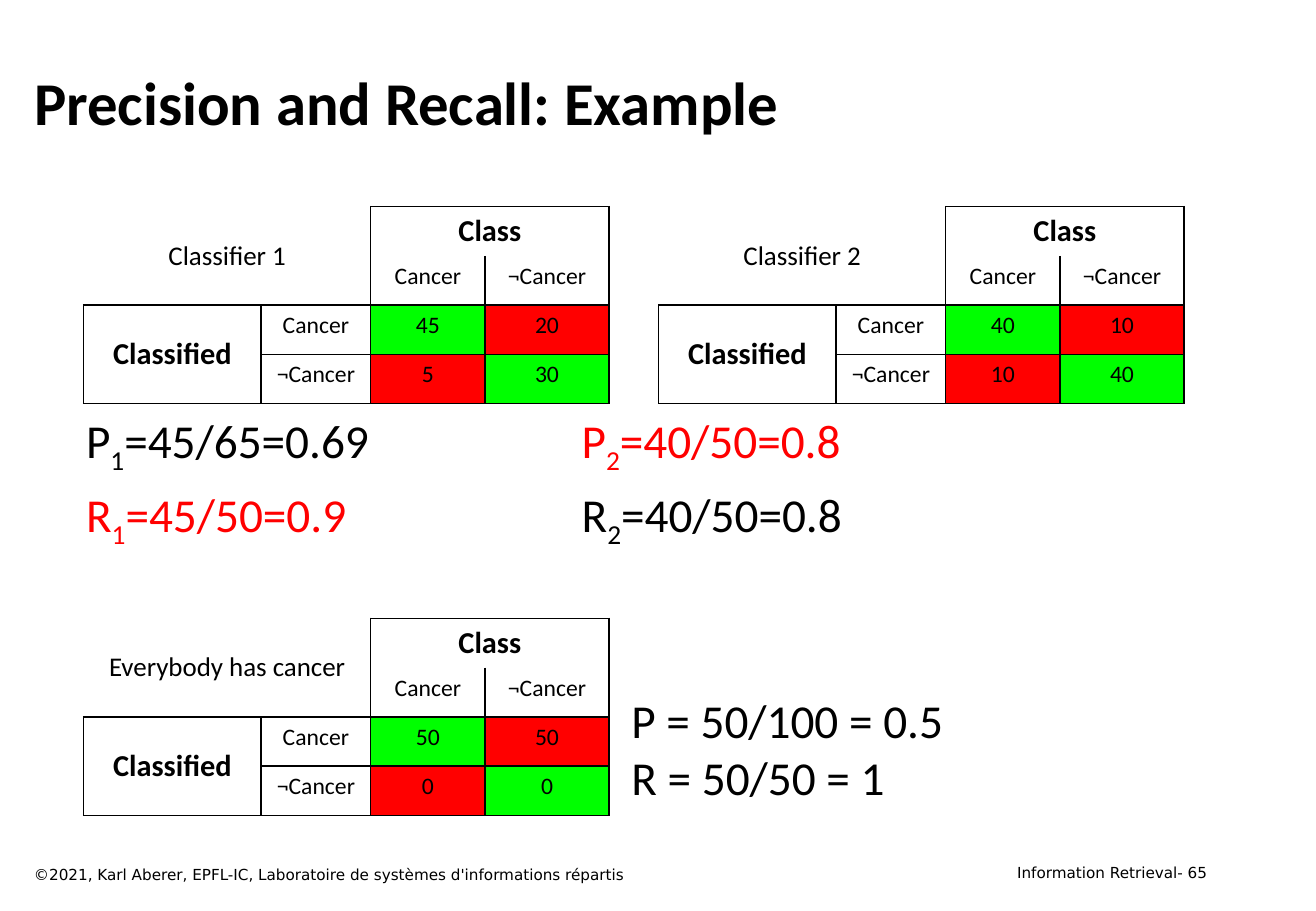
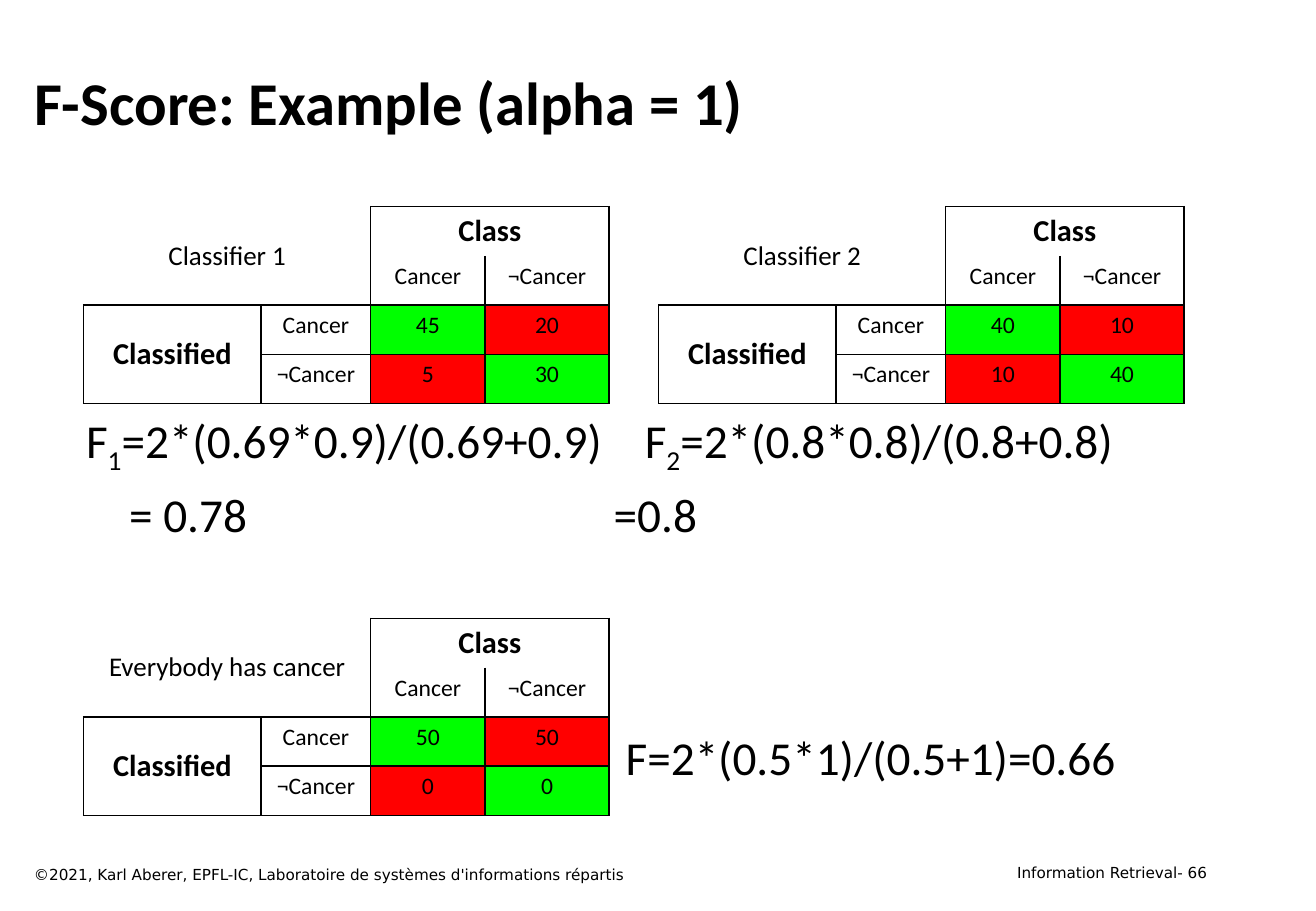
from dataclasses import dataclass

from lxml import etree
from pptx import Presentation
from pptx.dml.color import RGBColor
from pptx.enum.text import MSO_ANCHOR, PP_ALIGN
from pptx.oxml.ns import qn
from pptx.util import Cm, Pt

LEFT, CENTER, RIGHT = PP_ALIGN.LEFT, PP_ALIGN.CENTER, PP_ALIGN.RIGHT
TOP, MIDDLE = MSO_ANCHOR.TOP, MSO_ANCHOR.MIDDLE


@dataclass(frozen=True)
class Theme:
    black: str = "000000"
    red: str = "FF0000"
    green: str = "00FF00"
    body_font: str = "Calibri"
    footer_font: str = "DejaVu Sans"
    title_size: int = 36
    formula_size: int = 28
    heading_size: int = 18
    caption_size: int = 16
    cell_size: int = 14
    footer_size: int = 9
    border_width: int = 1


THEME = Theme()
NO_STYLE_NO_GRID = "{2D5ABB26-0587-4C30-8999-92F81FD0307C}"
FIRST_PAGE = 65
COPYRIGHT = "©2021, Karl Aberer, EPFL-IC, Laboratoire de systèmes d'informations répartis"
TITLE_BOX = (0.46, 0.84, 24.99, 2.54)
COPYRIGHT_BOX = (0.46, 17.98, 17.65, 0.64)
PAGE_BOX = (19.74, 17.93, 5.74, 0.64)
FORMULA_BOX = (1.55, 8.48, 23.06, 3.2)
COLUMN_WIDTHS = (3.71, 2.29, 2.39, 2.59)
ROW_HEIGHT = 1.03
MATRICES = (
    ("Classifier 1", (1.75, 4.32), ((45, 20), (5, 30))),
    ("Classifier 2", (13.77, 4.32), ((40, 10), (10, 40))),
    ("Everybody has cancer", (1.75, 12.93), ((50, 50), (0, 0))),
)
BORDERS = (
    ("RB", "R", "LTR", "TR"),
    ("B", "RB", "LRB", "LRB"),
    ("LTB", "LTRB", "LRTB", "LRTB"),
    ("LB", "LTRB", "LRTB", "LRTB"),
)
MERGES = (((0, 0), (1, 1)), ((0, 2), (0, 3)), ((2, 0), (3, 0)))


def set_attributes(target, values):
    for name, value in values.items():
        setattr(target, name, value)


def style_font(font, size, color=THEME.black, name=THEME.body_font, bold=False):
    set_attributes(font, {"size": Pt(size), "name": name, "bold": bold})
    font.color.rgb = RGBColor.from_string(color)


def add_run(paragraph, text, size, **style):
    run = paragraph.add_run()
    run.text = text
    style_font(run.font, size, **style)
    return run


def add_text_box(slide, box, wrap=True):
    shape = slide.shapes.add_textbox(*map(Cm, box))
    shape.text_frame.word_wrap = wrap
    return shape.text_frame


def add_title(slide, box, text):
    title = slide.shapes.title
    left, top, width, height = map(Cm, box)
    set_attributes(title, {"left": left, "top": top, "width": width, "height": height})
    title.text_frame.vertical_anchor = MIDDLE
    paragraph = title.text_frame.paragraphs[0]
    paragraph.alignment = LEFT
    add_run(paragraph, text, THEME.title_size, bold=True)


def add_footers(slide, copyright_box, page_box, page):
    style = {"size": THEME.footer_size, "name": THEME.footer_font}
    add_run(add_text_box(slide, copyright_box).paragraphs[0], COPYRIGHT, **style)
    paragraph = add_text_box(slide, page_box).paragraphs[0]
    paragraph.alignment = RIGHT
    add_run(paragraph, "Information Retrieval- ", **style)
    number = add_run(paragraph, str(page), **style)._r
    number.tag = qn("a:fld")
    number.set("id", "{B6F15528-21DE-4FAA-801E-634DDDAF4B2B}")
    number.set("type", "slidenum")


def set_borders(cell, sides):
    properties = cell._tc.get_or_add_tcPr()
    for side in "LRTB":
        if side in sides:
            line = etree.SubElement(properties, qn(f"a:ln{side}"), w=str(Pt(THEME.border_width)))
            fill = etree.SubElement(line, qn("a:solidFill"))
            etree.SubElement(fill, qn("a:srgbClr"), val=THEME.black)


def write_cell(cell, text, size=THEME.cell_size, anchor=TOP, bold=False):
    cell.vertical_anchor = anchor
    paragraph = cell.text_frame.paragraphs[0]
    paragraph.alignment = CENTER
    add_run(paragraph, str(text), size, bold=bold)


def add_confusion_matrix(slide, caption, position, counts):
    left, top = position
    box = (left, top, sum(COLUMN_WIDTHS), 4 * ROW_HEIGHT)
    frame = slide.shapes.add_table(4, 4, *map(Cm, box))
    next(frame.element.iter(qn("a:tableStyleId"))).text = NO_STYLE_NO_GRID
    table = frame.table
    set_attributes(table, {"first_row": False, "horz_banding": False})
    for column, width in zip(table.columns, COLUMN_WIDTHS):
        column.width = Cm(width)
    for row, borders in zip(table.rows, BORDERS):
        row.height = Cm(ROW_HEIGHT)
        for cell, sides in zip(row.cells, borders):
            set_borders(cell, sides)
            cell.fill.background()
    for first, last in MERGES:
        table.cell(*first).merge(table.cell(*last))
    write_cell(table.cell(0, 0), caption, THEME.caption_size, MIDDLE)
    write_cell(table.cell(0, 2), "Class", THEME.heading_size, MIDDLE, True)
    write_cell(table.cell(2, 0), "Classified", THEME.heading_size, MIDDLE, True)
    for i, label in enumerate(("Cancer", "¬Cancer")):
        write_cell(table.cell(1, 2 + i), label)
        write_cell(table.cell(2 + i, 1), label)
        for j, count in enumerate(counts[i]):
            cell = table.cell(2 + i, 2 + j)
            write_cell(cell, count)
            cell.fill.solid()
            cell.fill.fore_color.rgb = RGBColor.from_string(THEME.green if i == j else THEME.red)


def add_formulas(slide, box, lines):
    text_frame = add_text_box(slide, box)
    for index, (tab_stops, terms) in enumerate(lines):
        paragraph = text_frame.add_paragraph() if index else text_frame.paragraphs[0]
        tab_list = etree.SubElement(paragraph._p.get_or_add_pPr(), qn("a:tabLst"))
        for stop in tab_stops:
            etree.SubElement(tab_list, qn("a:tab"), pos=str(Cm(stop)), algn="l")
        if index:
            paragraph.space_before = Pt(5.6)
        for symbol, subscript, rest, color in terms:
            for text in filter(None, (symbol, subscript, rest)):
                run = add_run(paragraph, text, THEME.formula_size, color=color)
                if text == subscript:
                    run._r.get_or_add_rPr().set("baseline", "-25000")


def add_result(slide, box, lines):
    text_frame = add_text_box(slide, box, wrap=False)
    for index, line in enumerate(lines):
        paragraph = text_frame.add_paragraph() if index else text_frame.paragraphs[0]
        add_run(paragraph, line, THEME.formula_size)


def add_example_slide(presentation, page, title, formulas, result_box, result):
    slide = presentation.slides.add_slide(presentation.slide_layouts[5])
    add_title(slide, TITLE_BOX, title)
    add_formulas(slide, FORMULA_BOX, formulas)
    add_footers(slide, COPYRIGHT_BOX, PAGE_BOX, page)
    for matrix in MATRICES:
        add_confusion_matrix(slide, *matrix)
    add_result(slide, result_box, result)


EXAMPLES = (
    (
        "Precision and Recall: Example",
        (
            ((10.36,), (("P", "1", "=45/65=0.69\t", THEME.black), ("P", "2", "=40/50=0.8", THEME.red))),
            ((10.36,), (("R", "1", "=45/50=0.9\t", THEME.red), ("R", "2", "=40/50=0.8", THEME.black))),
        ),
        (12.95, 14.33, 7.14, 2.64),
        ("P = 50/100 = 0.5", "R = 50/50 = 1"),
    ),
    (
        "F-Score: Example (alpha = 1)",
        (
            (
                (11.68,),
                (
                    ("F", "1", "=2*(0.69*0.9)/(0.69+0.9)\t", THEME.black),
                    ("F", "2", "=2*(0.8*0.8)/(0.8+0.8)", THEME.black),
                ),
            ),
            ((0.9, 11.03), (("", "", "\t= 0.78\t=0.8", THEME.black),)),
        ),
        (12.83, 15.11, 11.13, 1.45),
        ("F=2*(0.5*1)/(0.5+1)=0.66",),
    ),
)


def main():
    presentation = Presentation()
    presentation.slide_width, presentation.slide_height = Cm(27.51), Cm(19.05)
    presentation.element.set("firstSlideNum", str(FIRST_PAGE))
    for page, example in enumerate(EXAMPLES, FIRST_PAGE):
        add_example_slide(presentation, page, *example)
    presentation.save("out.pptx")


if __name__ == "__main__":
    main()
